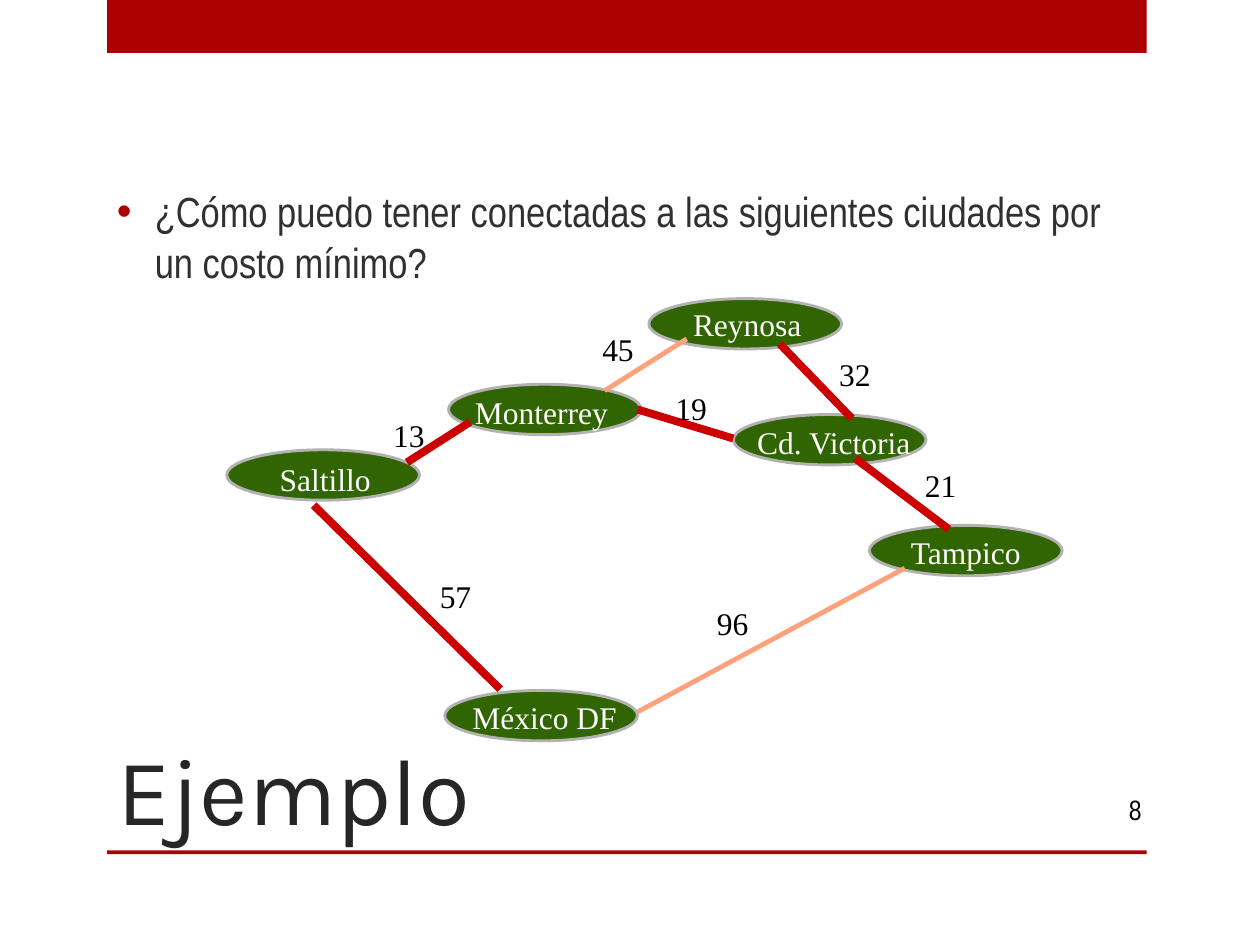
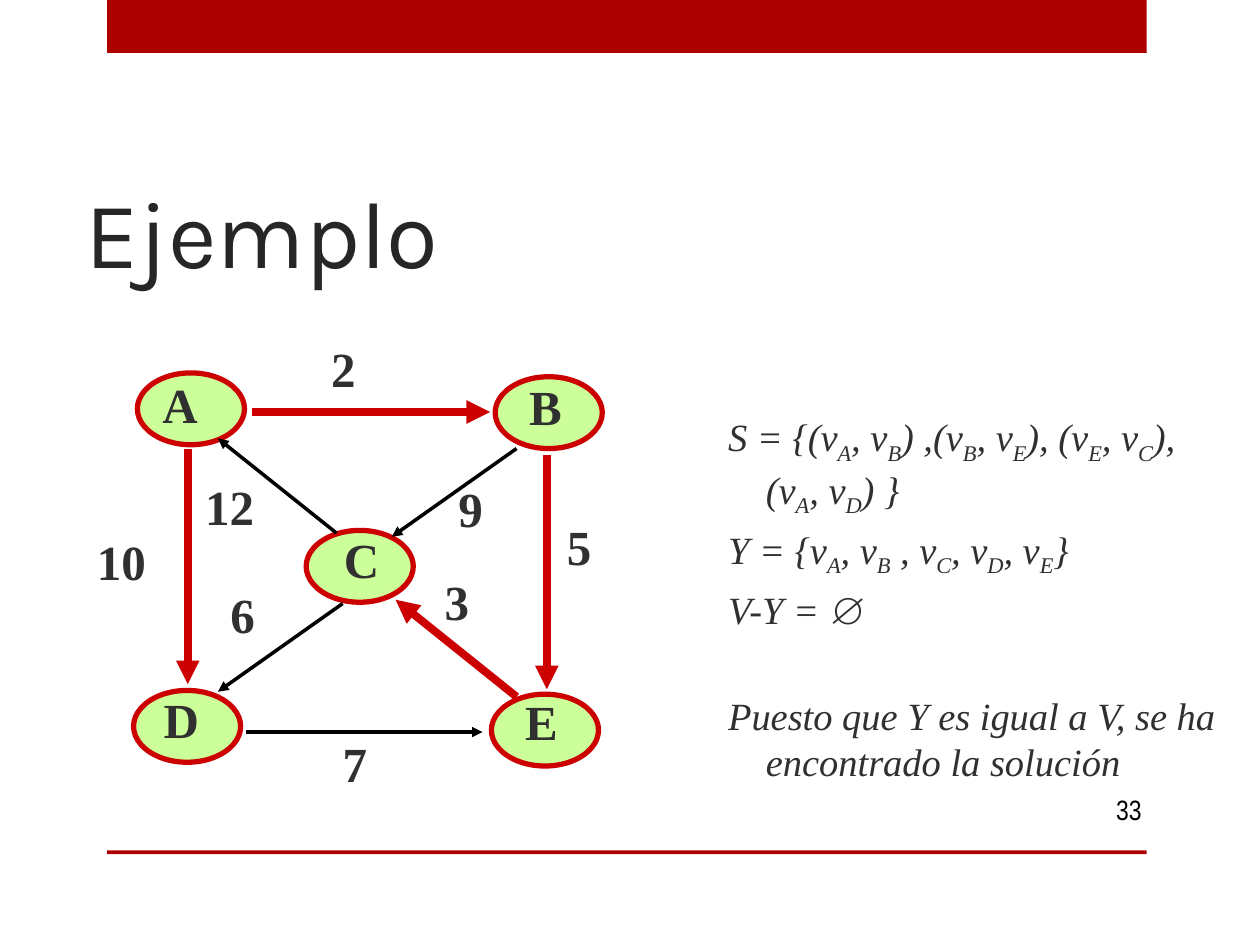
from dataclasses import dataclass

from lxml.etree import SubElement
from pptx import Presentation
from pptx.dml.color import RGBColor
from pptx.enum.shapes import MSO_CONNECTOR as Connector, MSO_SHAPE as Shape
from pptx.enum.text import MSO_ANCHOR as Anchor, MSO_AUTO_SIZE as AutoSize, PP_ALIGN as Align
from pptx.oxml.ns import qn
from pptx.util import Inches, Pt


@dataclass(frozen=True)
class Theme:
    band: str = "AD0101"
    title_color: str = "262626"
    body_color: str = "303030"
    black: str = "000000"
    white: str = "FFFFFF"
    chosen: str = "CC0000"
    discarded: str = "FFA27C"
    city_fill: str = "316501"
    city_line: str = "B2B2B2"
    vertex_fill: str = "CCFF99"
    title_font: str = "Karla"
    body_font: str = "Arial Narrow"
    graph_font: str = "Times New Roman"
    title_size: int = 54
    body_size: int = 24
    set_size: int = 22
    vertex_size: int = 28
    city_size: int = 18
    number_size: int = 16


class GraphDeck:
    def __init__(self, theme):
        self.theme = theme
        self.deck = Presentation()
        self.deck.slide_width = Inches(10)
        self.deck.slide_height = Inches(7.5)
        self.page = None

    def add_page(self, title, left, top, number):
        """Start a slide with its bands, title and page number."""
        theme = self.theme
        self.page = self.deck.slides.add_slide(self.deck.slide_layouts[5])
        self.band(0, 0.42)
        self.band(6.75, 0.03)
        box = self.page.shapes.title
        box.left, box.top, box.width, box.height = map(Inches, (left, top, 7.42, 1.75))
        frame = box.text_frame
        frame.text = title
        frame.auto_size = AutoSize.NONE
        frame.vertical_anchor = Anchor.BOTTOM
        frame.paragraphs[0].alignment = Align.LEFT
        self.style(frame.paragraphs[0], theme.title_font, theme.title_size, theme.title_color)
        frame = self.text_frame(8.33, 6.22, 0.83, 0.4)
        frame.text = str(number)
        frame.paragraphs[0].alignment = Align.RIGHT
        self.style(frame.paragraphs[0], theme.body_font, theme.number_size, theme.black)

    def style(self, para, font, size, color, **flags):
        for span in para.runs:
            span.font.name = font
            span.font.size = Pt(size)
            span.font.color.rgb = RGBColor.from_string(color)
            for flag, value in flags.items():
                setattr(span.font, flag, value)

    def text_frame(self, left, top, width, height):
        box = self.page.shapes.add_textbox(*map(Inches, (left, top, width, height)))
        box.text_frame.word_wrap = True
        box.text_frame.vertical_anchor = Anchor.MIDDLE
        return box.text_frame

    def shape(self, kind, left, top, width, height, fill):
        shape = self.page.shapes.add_shape(kind, *map(Inches, (left, top, width, height)))
        shape.shadow.inherit = False
        shape.fill.solid()
        shape.fill.fore_color.rgb = RGBColor.from_string(fill)
        return shape

    def band(self, top, height):
        self.shape(Shape.RECTANGLE, 0.85, top, 8.25, height, self.theme.band).line.fill.background()

    def node(self, left, top, width, height, fill, line, weight):
        ellipse = self.shape(Shape.OVAL, left, top, width, height, fill)
        ellipse.line.color.rgb = RGBColor.from_string(line)
        ellipse.line.width = Pt(weight)

    def edge(self, start, end, color, weight, arrow=False):
        line = self.page.shapes.add_connector(Connector.STRAIGHT, *map(Inches, (*start, *end)))
        line.line.color.rgb = RGBColor.from_string(color)
        line.line.width = Pt(weight)
        if arrow:
            SubElement(line.line._get_or_add_ln(), qn("a:tailEnd"), type="triangle")
        SubElement(line._element.spPr, qn("a:effectLst"))

    def label(self, text, left, top, width, height, size, color, margin=0, bold=False):
        frame = self.text_frame(left, top, width, height)
        frame.word_wrap = False
        frame.auto_size = AutoSize.SHAPE_TO_FIT_TEXT
        frame.vertical_anchor = Anchor.TOP
        frame.margin_left = frame.margin_right = Inches(margin)
        frame.margin_top = frame.margin_bottom = Inches(margin / 2)
        frame.text = text
        self.style(frame.paragraphs[0], self.theme.graph_font, size, color, bold=bold)

    def hang(self, para, indent, space):
        """Give a paragraph a hanging indent and the space before it."""
        para.space_before = Pt(space)
        properties = para._p.get_or_add_pPr()
        properties.set("marL", str(Inches(indent)))
        properties.set("indent", str(Inches(-0.3)))
        return properties

    def bullet(self, text, left, top, width, height):
        theme = self.theme
        para = self.text_frame(left, top, width, height).paragraphs[0]
        para.text = text
        properties = self.hang(para, 0.3, 4.8)
        SubElement(SubElement(properties, qn("a:buClr")), qn("a:srgbClr"), val=theme.band)
        SubElement(properties, qn("a:buFont"), typeface="Arial")
        SubElement(properties, qn("a:buChar"), char="•")
        self.style(para, theme.body_font, theme.body_size, theme.body_color)

    def formulas(self, lines, left, top, width, height):
        """Write (text, space before) lines; the letter after each _ is a subscript."""
        theme = self.theme
        frame = self.text_frame(left, top, width, height)
        for index, (text, space) in enumerate(lines):
            para = frame.add_paragraph() if index else frame.paragraphs[0]
            first, *rest = text.split("_")
            para.add_run().text = first
            for piece in rest:
                subscript = para.add_run()
                subscript.text = piece[0]
                subscript.font._element.set("baseline", "-25000")
                para.add_run().text = piece[1:]
            self.hang(para, 0.65, space)
            self.style(para, theme.graph_font, theme.set_size, theme.body_color, italic=True)


def city_page(deck):
    theme = deck.theme
    deck.add_page("Ejemplo", 0.83, 5, 8)
    deck.bullet("¿Cómo puedo tener conectadas a las siguientes ciudades por un costo mínimo?",
                0.83, 0.75, 8.25, 2.25)
    # Name, corner of the ellipse, corner and width of its name
    cities = [
        ("Monterrey", (3.56, 3.05), (3.77, 3.12), 1.14),
        ("Saltillo", (1.8, 3.57), (2.22, 3.65), 0.78),
        ("México DF", (3.53, 5.48), (3.75, 5.54), 1.23),
        ("Reynosa", (5.15, 2.37), (5.5, 2.42), 0.92),
        ("Cd. Victoria", (5.82, 3.29), (6.01, 3.36), 1.24),
        ("Tampico", (6.9, 4.17), (7.23, 4.23), 0.92),
    ]
    for name, corner, name_corner, width in cities:
        deck.node(*corner, 1.53, 0.4, theme.city_fill, theme.city_line, 1.63)
        deck.label(name, *name_corner, width, 0.3, theme.city_size, theme.white)
    # Cost, ends of the road, corner of the cost, in the minimum tree
    roads = [
        (13, (3.23, 3.67), (3.73, 3.35), (3.12, 3.3), True),
        (96, (5.06, 5.65), (7.18, 4.51), (5.69, 4.79), False),
        (57, (2.49, 4.01), (3.97, 5.47), (3.49, 4.58), True),
        (45, (4.8, 3.1), (5.45, 2.69), (4.78, 2.62), False),
        (32, (6.76, 3.32), (6.19, 2.73), (6.66, 2.82), True),
        (21, (7.53, 4.2), (6.79, 3.64), (7.34, 3.7), True),
        (19, (5.82, 3.48), (5.06, 3.25), (5.36, 3.09), True),
    ]
    for cost, start, end, cost_corner, chosen in roads:
        color, weight = (theme.chosen, 4.5) if chosen else (theme.discarded, 2.75)
        deck.edge(start, end, color, weight)
        deck.label(str(cost), *cost_corner, 0.35, 0.34, theme.city_size, theme.black)


def vertex_page(deck):
    theme = deck.theme
    deck.add_page("Ejemplo", 0.58, 0.58, 33)
    deck.formulas([
        ("S = {(v_A, v_B) ,(v_B, v_E), (v_E, v_C), (v_A, v_D) }", 4.4),
        ("Y = {v_A, v_B , v_C, v_D, v_E}", 4.4),
        ("V-Y = ∅", 4.4),
        ("Puesto que Y es igual a V, se ha encontrado la solución", 34),
    ], 5.33, 2.5, 4.42, 4.5)
    # Name, corner of the ellipse, corner and width of its name
    vertices = [
        ("A", (1.09, 2.96), (1.19, 2.92), 0.48),
        ("B", (3.93, 2.99), (4.1, 2.94), 0.45),
        ("C", (2.43, 4.21), (2.63, 4.15), 0.48),
        ("D", (1.06, 5.48), (1.2, 5.42), 0.48),
        ("E", (3.9, 5.51), (4.07, 5.44), 0.45),
    ]
    for name, corner, name_corner, width in vertices:
        deck.node(*corner, 0.85, 0.57, theme.vertex_fill, theme.chosen, 3)
        deck.label(name, *name_corner, width, 0.56, theme.vertex_size, theme.body_color, 0.1, True)
    # Cost, ends of the arrow, corner of the cost, in the minimum tree
    arrows = [
        (2, (2, 3.27), (3.89, 3.27), (2.53, 2.64), True),
        (7, (1.95, 5.81), (3.83, 5.81), (2.62, 5.77), False),
        (5, (4.34, 3.61), (4.34, 5.47), (4.4, 4.05), True),
        (10, (1.49, 3.56), (1.49, 5.43), (0.67, 4.17), True),
        (6, (2.72, 4.79), (1.73, 5.49), (1.73, 4.59), False),
        (9, (4.1, 3.56), (3.11, 4.26), (3.54, 3.75), False),
        (12, (2.67, 4.23), (1.73, 3.48), (1.53, 3.73), False),
        (3, (4.1, 5.53), (3.14, 4.76), (3.43, 4.49), True),
    ]
    for cost, start, end, cost_corner, chosen in arrows:
        color, weight = (theme.chosen, 4.5) if chosen else (theme.black, 2)
        deck.edge(start, end, color, weight, arrow=True)
        width = 0.39 if cost < 10 else 0.59
        deck.label(str(cost), *cost_corner, width, 0.56, theme.vertex_size, theme.body_color, 0.1, True)


def main():
    deck = GraphDeck(Theme())
    city_page(deck)
    vertex_page(deck)
    deck.deck.save("out.pptx")


if __name__ == "__main__":
    main()
